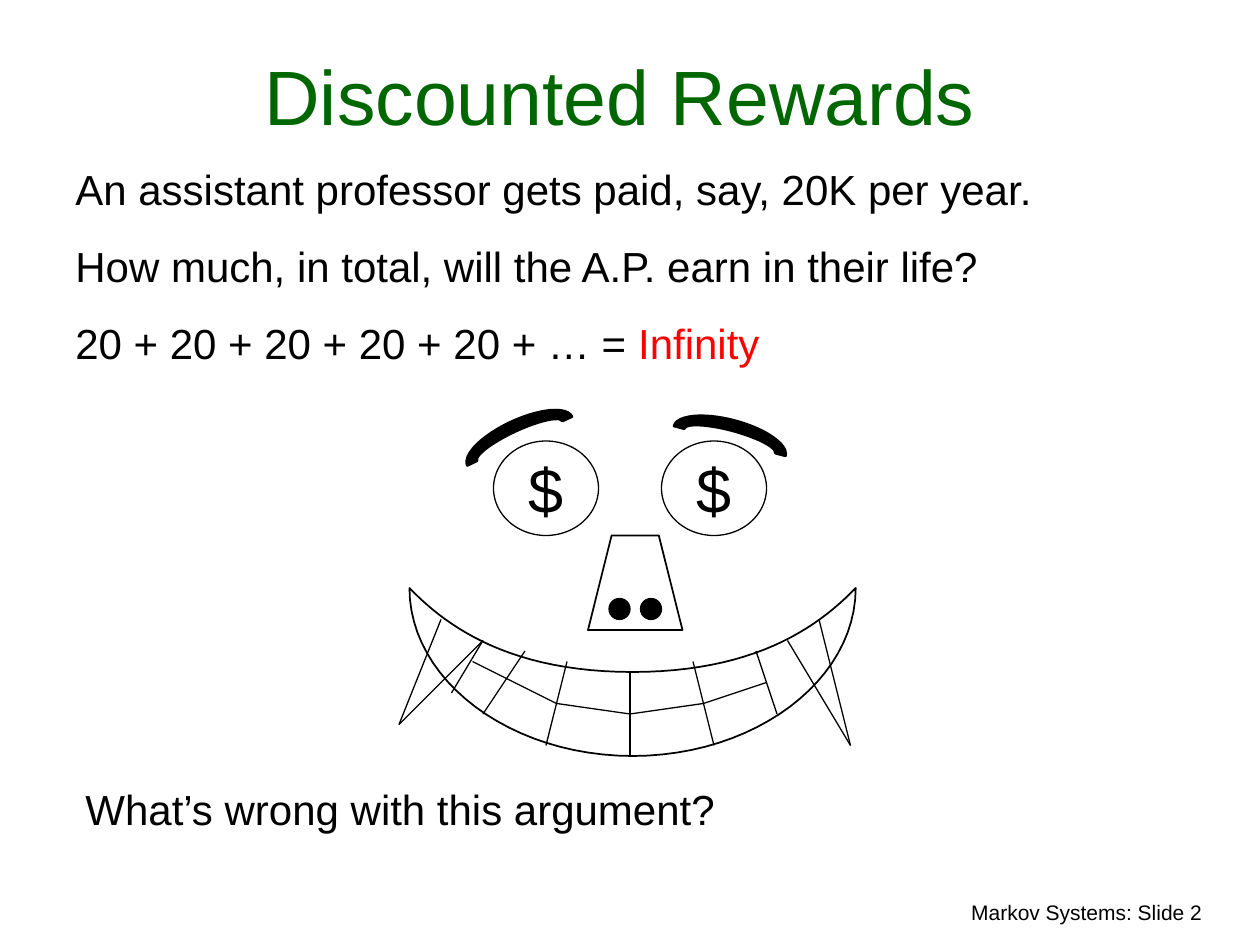
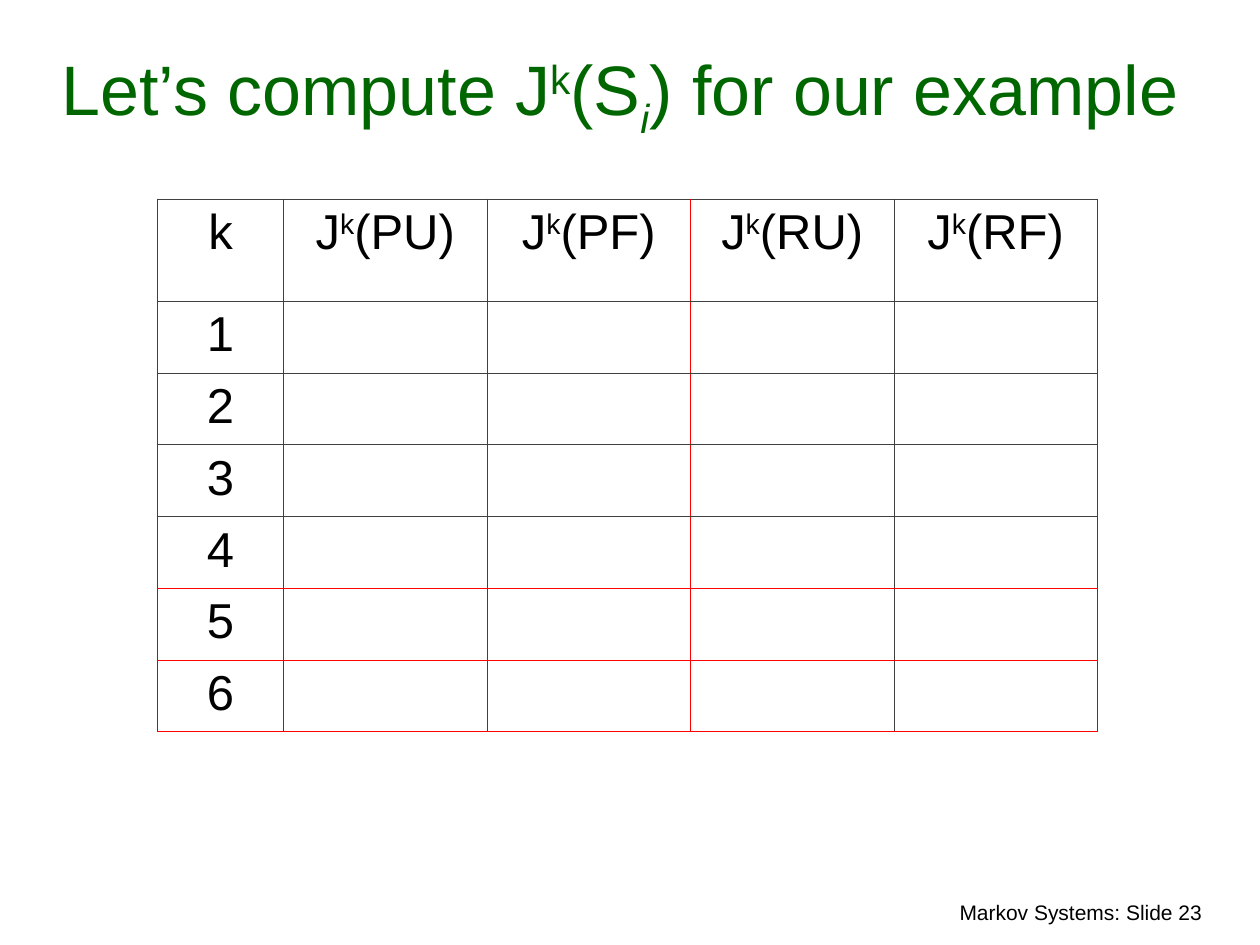
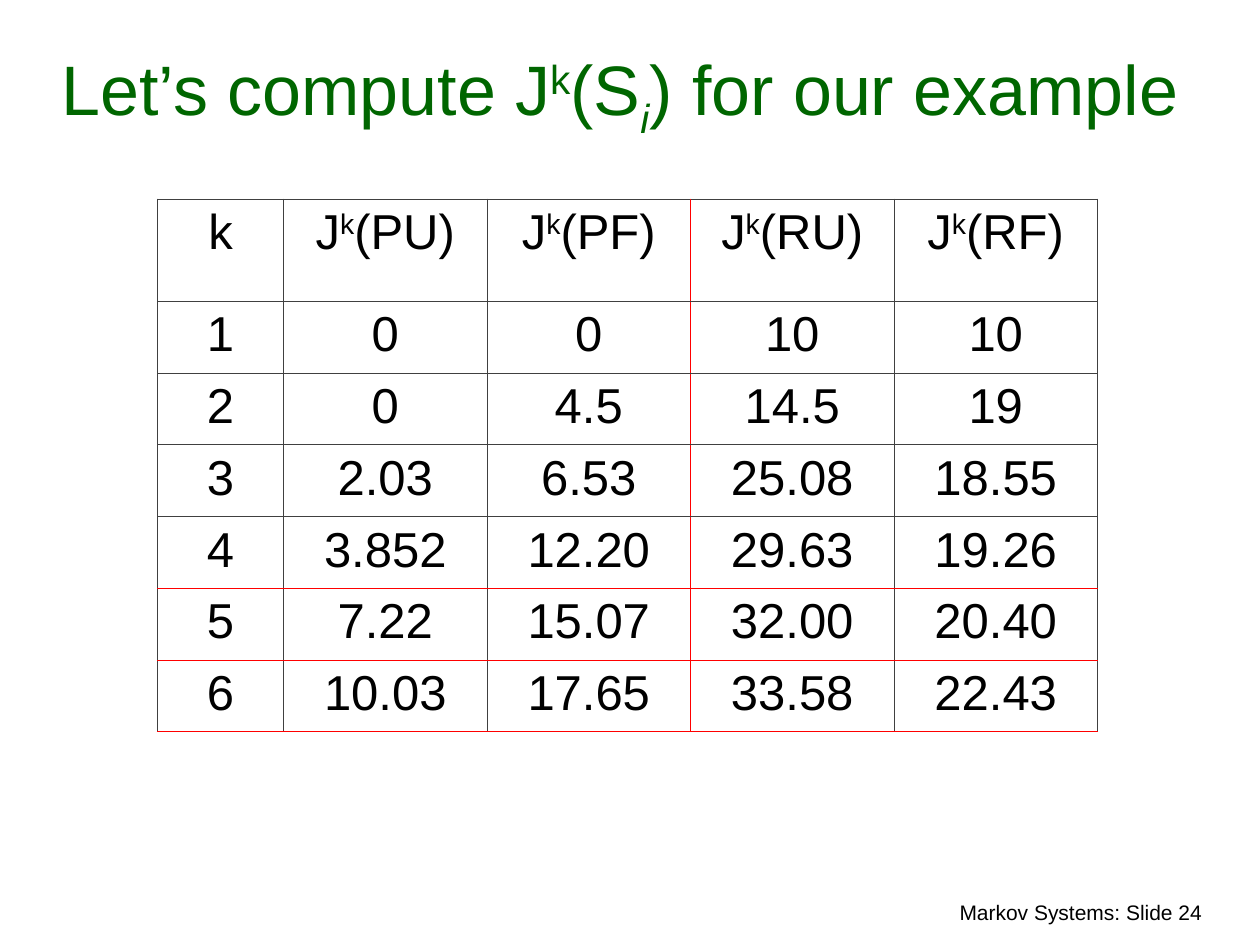
"""Build three Markov Systems slides: discounted rewards and the J^k(S) tables."""
from lxml import etree
from pptx import Presentation
from pptx import util as u
from pptx.dml.color import RGBColor
from pptx.enum import shapes, text
from pptx.oxml.ns import qn

GREEN = RGBColor(0x00, 0x66, 0x00)
BLACK = RGBColor(0x00, 0x00, 0x00)
RED = RGBColor(0xFF, 0x00, 0x00)
GREY = RGBColor(0x40, 0x40, 0x40)
FONT = "Arial"
CELL = u.Inches(1) // 12
SUPER, SUB = {"baseline": 30000}, {"baseline": -25000, "italic": True}

REWARDS_TITLE = [("Discounted Rewards", {})]
REWARDS = [
    [("An assistant professor gets paid, say, 20K per year.", {})],
    [("How much, in total, will the A.P. earn in their life?", {})],
    [("20 + 20 + 20 + 20 + 20 + … = ", {}), ("Infinity", {"color": RED})],
]
QUESTION = [[("What’s wrong with this argument?", {})]]

COMPUTE_TITLE = [("Let’s compute J", {}), ("k", SUPER), ("(S", {}), ("i", SUB),
                 (") for our example", {})]
STATES = ["PU", "PF", "RU", "RF"]
VALUES = [
    ["0", "0", "10", "10"],
    ["0", "4.5", "14.5", "19"],
    ["2.03", "6.53", "25.08", "18.55"],
    ["3.852", "12.20", "29.63", "19.26"],
    ["7.22", "15.07", "32.00", "20.40"],
    ["10.03", "17.65", "33.58", "22.43"],
]
NO_VALUES = [[""] * len(STATES) for _ in VALUES]
RED_COLUMN_EDGES, RED_ROW_EDGES = {3}, {5, 6, 7}

# Face parts are measured in twelfths of an inch.
MOUTH_MIDDLE = 60.25
UPPER_LIP = [(39, 56), (42.84, 60), (48.96, 64), (MOUTH_MIDDLE, 64)]
LOWER_LIP = [(39, 56), (39, 64.8), (48.6, 72), (MOUTH_MIDDLE, 72)]
NOSE = [(56, 60), (65, 60), (62.75, 51), (58.25, 51)]
TOOTH_LINES = [
    [(46, 61), (43, 66)],
    [(50, 62), (46, 68)],
    [(54, 63), (52, 71)],
    [(60, 64), (60, 72)],
    [(66, 63), (68, 71)],
    [(72, 62), (74, 68)],
    [(75, 61), (81, 71), (78, 59)],
    [(42, 59), (38, 69), (46, 61)],
    [(45, 63), (53, 67), (60, 68), (67, 67), (73, 65)],
]
EYES = [(47, 42, 10, 9), (63, 42, 10, 9)]
BROWS = [((44, 40, 11, 4), 335), ((64, 40, 11, 4), 15)]
NOSTRILS = [(58, 57, 2, 2), (61, 57, 2, 2)]


def fill_paragraph(paragraph, runs, size, color=BLACK, align=text.PP_ALIGN.LEFT):
    paragraph.alignment = align
    paragraph.font.name = FONT
    paragraph.font.size = u.Pt(size)
    paragraph.font.color.rgb = color
    for words, style in runs:
        run = paragraph.add_run()
        run.text = words
        if "color" in style:
            run.font.color.rgb = style["color"]
        if "italic" in style:
            run.font.italic = True
        if "baseline" in style:
            run.font._element.set("baseline", str(style["baseline"]))


def add_text(slide, box, paragraphs, size, color=BLACK, align=text.PP_ALIGN.LEFT,
             anchor=text.MSO_ANCHOR.TOP):
    frame = slide.shapes.add_textbox(*map(u.Inches, box)).text_frame
    frame.word_wrap = True
    frame.vertical_anchor = anchor
    for index, runs in enumerate(paragraphs):
        paragraph = frame.add_paragraph() if index else frame.paragraphs[0]
        if index:
            paragraph.space_before = u.Pt(15)
        fill_paragraph(paragraph, runs, size, color, align)


def add_slide(presentation, number, title, title_size):
    slide = presentation.slides.add_slide(presentation.slide_layouts[6])
    add_text(slide, (5.72, 7.09, 3.92, 0.3), [[(f"Markov Systems: Slide {number}", {})]],
             12, align=text.PP_ALIGN.RIGHT)
    add_text(slide, (0.17, 0.25, 9.5, 0.92), [title], title_size, GREEN,
             text.PP_ALIGN.CENTER, text.MSO_ANCHOR.BOTTOM)
    return slide


def to_emu(values):
    return [round(value * CELL) for value in values]


def style_shape(shape, width, filled=False):
    shape.shadow.inherit = False
    shape.line.color.rgb = BLACK
    shape.line.width = u.Pt(width)
    if filled:
        shape.fill.solid()
        shape.fill.fore_color.rgb = BLACK
    else:
        shape.fill.background()


def add_preset(slide, kind, box, width=0.75, filled=False):
    shape = slide.shapes.add_shape(kind, *to_emu(box))
    style_shape(shape, width, filled)
    return shape


def add_outline(slide, points):
    start, *rest = map(to_emu, points)
    builder = slide.shapes.build_freeform(*start)
    builder.add_line_segments(rest, close=True)
    style_shape(builder.convert_to_shape(), 1)


def add_polyline(slide, points):
    for start, end in zip(points, points[1:]):
        line = slide.shapes.add_connector(shapes.MSO_CONNECTOR.STRAIGHT,
                                          *to_emu(start + end))
        line.line.color.rgb = BLACK
        line.line.width = u.Pt(0.75)
        etree.SubElement(line._element.spPr, qn("a:effectLst"))


def curve(controls, steps=24):
    weights = [((1 - t) ** 3, 3 * t * (1 - t) ** 2, 3 * t * t * (1 - t), t ** 3)
               for t in (step / steps for step in range(steps + 1))]
    return [tuple(sum(w * point[axis] for w, point in zip(weight, controls))
                  for axis in (0, 1)) for weight in weights]


def mirror(points):
    return [(2 * MOUTH_MIDDLE - x, y) for x, y in points]


def add_face(slide):
    upper, lower = curve(UPPER_LIP), curve(LOWER_LIP)
    add_outline(slide, upper + mirror(upper[-2::-1]) + mirror(lower[1:]) + lower[-2:0:-1])
    for points in TOOTH_LINES:
        add_polyline(slide, points)
    for box in EYES:
        frame = add_preset(slide, shapes.MSO_SHAPE.OVAL, box).text_frame
        frame.word_wrap = False
        frame.vertical_anchor = text.MSO_ANCHOR.MIDDLE
        fill_paragraph(frame.paragraphs[0], [("$", {})], 36, align=text.PP_ALIGN.CENTER)
    for box, angle in BROWS:
        brow = add_preset(slide, shapes.MSO_SHAPE.BLOCK_ARC, box, 1.5, True)
        brow.rotation = angle
        for index, value in enumerate((108, 0, 0.25)):
            brow.adjustments[index] = value
    add_outline(slide, NOSE)
    for box in NOSTRILS:
        add_preset(slide, shapes.MSO_SHAPE.FLOWCHART_CONNECTOR, box, filled=True)


def set_borders(cell, row, column):
    edges = [("a:lnL", column in RED_COLUMN_EDGES), ("a:lnR", column + 1 in RED_COLUMN_EDGES),
             ("a:lnT", row in RED_ROW_EDGES), ("a:lnB", row + 1 in RED_ROW_EDGES)]
    properties = cell._tc.get_or_add_tcPr()
    for index, (tag, is_red) in enumerate(edges):
        line = etree.Element(qn(tag), w=str(u.Pt(0.45)))
        fill = etree.SubElement(line, qn("a:solidFill"))
        etree.SubElement(fill, qn("a:srgbClr"), val=str(RED if is_red else GREY))
        properties.insert(index, line)


def add_value_table(slide, values):
    header = [[("k", {})]] + [[("J", {}), ("k", SUPER), (f"({state})", {})]
                              for state in STATES]
    body = [[[(word, {})] if word else [] for word in [str(k), *row]]
            for k, row in enumerate(values, 1)]
    rows = [header, *body]
    box = map(u.Inches, (1.25, 1.58, 7.46, 4.23))
    table = slide.shapes.add_table(len(rows), len(header), *box).table
    table.first_row = table.horz_banding = False
    for index, column in enumerate(table.columns):
        column.width = u.Inches(6.46 / len(STATES) if index else 1)
    for index, row in enumerate(table.rows):
        row.height = u.Inches(0.57 if index else 0.81)
    for r, row in enumerate(rows):
        for c, runs in enumerate(row):
            cell = table.cell(r, c)
            cell.fill.background()
            set_borders(cell, r, c)
            fill_paragraph(cell.text_frame.paragraphs[0], runs, 28,
                           align=text.PP_ALIGN.CENTER)


def main():
    presentation = Presentation()
    presentation.slide_width, presentation.slide_height = u.Inches(10), u.Inches(7.5)

    slide = add_slide(presentation, 2, REWARDS_TITLE, 44)
    add_text(slide, (0.5, 1.25, 9, 1.72), REWARDS, 24)
    add_text(slide, (0.58, 6.17, 5.75, 0.5), QUESTION, 24)
    add_face(slide)

    for number, values in ((23, NO_VALUES), (24, VALUES)):
        add_value_table(add_slide(presentation, number, COMPUTE_TITLE, 40), values)

    presentation.save("out.pptx")


if __name__ == "__main__":
    main()
